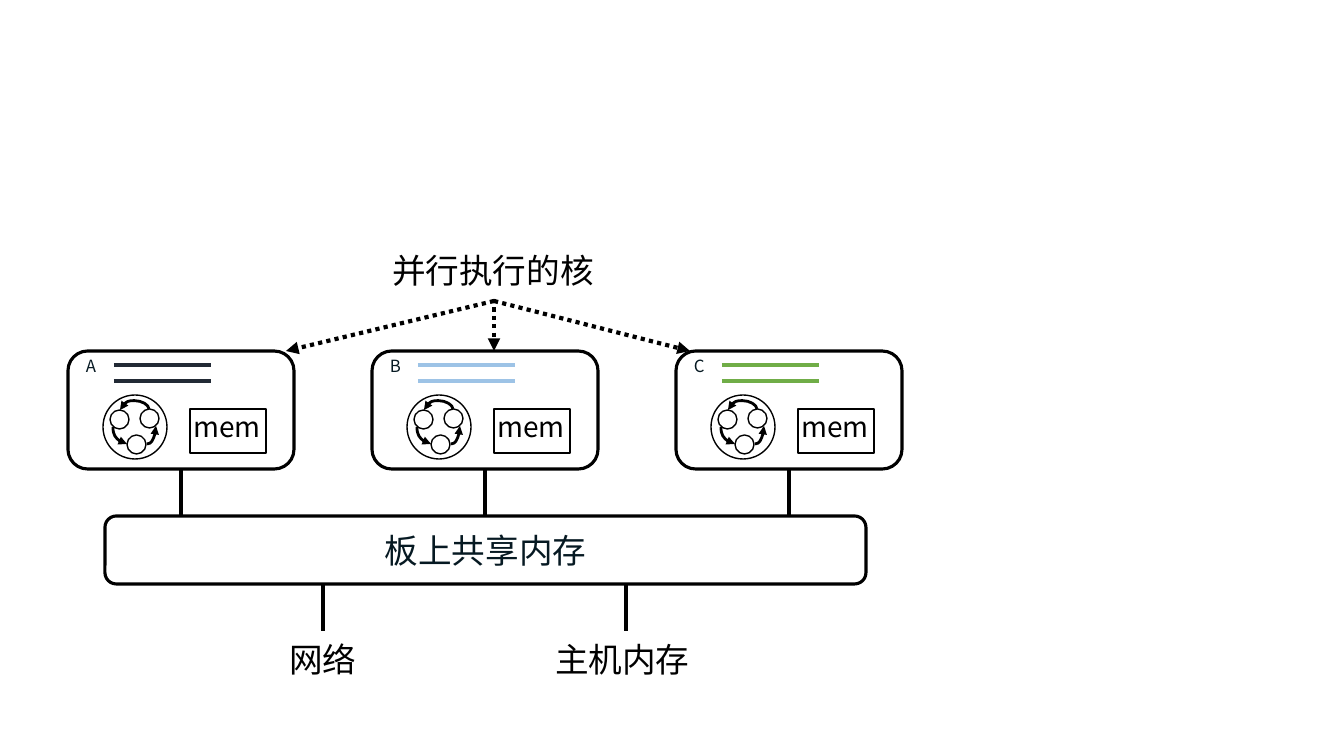
from lxml import etree
from pptx import Presentation, util as u
from pptx.dml.color import RGBColor
from pptx.enum import dml, shapes, text
from pptx.oxml.ns import qn

PX = 914400 / 100.8
FONT = "Noto Sans CJK SC"
BLACK = RGBColor(0x00, 0x00, 0x00)
WHITE = RGBColor(0xFF, 0xFF, 0xFF)
INK = RGBColor(0x06, 0x19, 0x22)
NAVY = RGBColor(0x22, 0x2A, 0x35)
SKY = RGBColor(0x9D, 0xC3, 0xE6)
GREEN = RGBColor(0x70, 0xAD, 0x47)
RECT = shapes.MSO_SHAPE.RECTANGLE
ROUNDED = shapes.MSO_SHAPE.ROUNDED_RECTANGLE
OVAL = shapes.MSO_SHAPE.OVAL

CORES = [("A", NAVY), ("B", SKY), ("C", GREEN)]
CORE_X, CORE_Y, CORE_W, CORE_H, CORE_STEP = 68, 351, 226, 118, 304
MEMORY_X, MEMORY_Y, MEMORY_W, MEMORY_H = 105, 516, 761, 68
STEM = 47


def emu(*lengths):
    return [u.Emu(round(n * PX)) for n in lengths]


def add_box(parent, kind, x, y, w, h, weight, fill=WHITE):
    sp = parent.add_shape(kind, *emu(x, y, w, h))
    sp.shadow.inherit = False
    if fill is None:
        sp.fill.background()
    else:
        sp.fill.solid()
        sp.fill.fore_color.rgb = fill
    sp.line.color.rgb = BLACK
    sp.line.width = u.Pt(weight)
    return sp


def write(tf, words, size, color=BLACK):
    p = tf.paragraphs[0]
    p.text = words
    font = p.runs[0].font
    font.name, font.size, font.color.rgb = FONT, u.Pt(size), color
    for tag in ("a:ea", "a:cs"):
        etree.SubElement(p.runs[0]._r.rPr, qn(tag), typeface=FONT)
    return p


def add_label(parent, words, x, y, w, h, size):
    """Add a one-line text box with wide insets and tight lines."""
    tf = parent.add_textbox(*emu(x, y, w, h)).text_frame
    tf.word_wrap = False
    tf.margin_left = tf.margin_right = u.Inches(0.2)
    tf.margin_top = tf.margin_bottom = u.Inches(0.16)
    p = write(tf, words, size)
    p.line_spacing = 0.9
    p.space_after = u.Pt(6)


def add_line(parent, x1, y1, x2, y2, weight=3, color=BLACK, arrow=None,
             kind=shapes.MSO_CONNECTOR.STRAIGHT):
    """Add a connector; arrow is headEnd (start), tailEnd (finish) or None."""
    c = parent.add_connector(kind, *emu(x1, y1, x2, y2))
    c.line.color.rgb = color
    c.line.width = u.Pt(weight)
    etree.SubElement(c._element.spPr, qn("a:effectLst"))
    if arrow:
        etree.SubElement(c.line._get_or_add_ln(), qn("a:" + arrow), type="triangle")
    return c


def add_curve(parent, x1, y1, x2, y2, arrow, preset):
    c = add_line(parent, x1, y1, x2, y2, 2, BLACK, arrow, shapes.MSO_CONNECTOR.CURVE)
    c._element.spPr.find(qn("a:prstGeom")).set("prst", preset)
    return c


def draw_cycle(parent, x, y):
    """Draw a ring with three nodes joined by curved arrows."""
    ring = parent.add_group_shape().shapes
    add_box(ring, OVAL, x, y, 64, 64, 1, None)
    for dx, dy in [(24, 40), (7, 15), (37, 14)]:
        add_box(ring, OVAL, x + dx, y + dy, 19, 19, 1)
    add_curve(ring, x + 44, y + 49, x + 53, y + 31, "tailEnd", "curvedConnector2")
    add_curve(ring, x + 24, y + 49, x + 10, y + 32, "headEnd", "curvedConnector2")
    arch = add_curve(ring, x + 32, y + 29, x + 31, y, "tailEnd", "curvedConnector3")
    spPr = arch._element.spPr
    spPr.find(qn("a:xfrm")).set("rot", "16200000")
    guides = spPr.find(qn("a:prstGeom")).get_or_add_avLst()
    etree.SubElement(guides, qn("a:gd"), name="adj1", fmla="val -850000")


def draw_core(parent, name, color, x, y):
    add_box(parent, ROUNDED, x, y, CORE_W, CORE_H, 2.25)
    tf = parent.add_textbox(*emu(x + 8, y, 164, 30)).text_frame
    tf.word_wrap = True
    write(tf, name, 12, INK)
    draw_cycle(parent, x + 35, y + 44)
    for dy in (14, 30):
        add_line(parent, x + 46, y + dy, x + 143, y + dy, 3, color)
    add_box(parent, RECT, x + 122, y + 58, 76, 44, 1.5)
    add_label(parent, "mem", x + 105, y + 47, 112, 64, 20)
    stem_x = x + CORE_W // 2
    add_line(parent, stem_x, y + CORE_H, stem_x, y + CORE_H + STEM)


def draw_heading(parent, x, y):
    """Draw the heading and its dotted arrows to the cores."""
    add_label(parent, "并行执行的核", x, y, 254, 70, 24)
    for tip, start in [(-86, 63), (122, 61), (318, 63)]:
        c = add_line(parent, x + 122, y + start, x + tip, y + 113)
        c.line.dash_style = dml.MSO_LINE.ROUND_DOT
        etree.SubElement(c.line._get_or_add_ln(), qn("a:tailEnd"), type="triangle")


def draw_memory(parent, x, y, w, h):
    """Draw the shared memory bar and its links below."""
    tf = add_box(parent, ROUNDED, x, y, w, h, 2.25).text_frame
    tf.word_wrap = False
    tf.vertical_anchor = text.MSO_ANCHOR.MIDDLE
    write(tf, "板上共享内存", 24, INK).alignment = text.PP_ALIGN.CENTER
    for words, stem_dx, label_dx, label_w in [("网络", 218, 164, 109),
                                             ("主机内存", 521, 430, 176)]:
        add_line(parent, x + stem_dx, y + h, x + stem_dx, y + h + STEM)
        add_label(parent, words, x + label_dx, y + h + 43, label_w, 70, 24)


def main():
    prs = Presentation()
    prs.slide_width, prs.slide_height = emu(1344, 756)
    s = prs.slides.add_slide(prs.slide_layouts[6])
    for i, (name, color) in enumerate(CORES):
        draw_core(s.shapes, name, color, CORE_X + i * CORE_STEP, CORE_Y)
    draw_heading(s.shapes, 372, 238)
    draw_memory(s.shapes, MEMORY_X, MEMORY_Y, MEMORY_W, MEMORY_H)
    prs.save("out.pptx")


if __name__ == "__main__":
    main()
